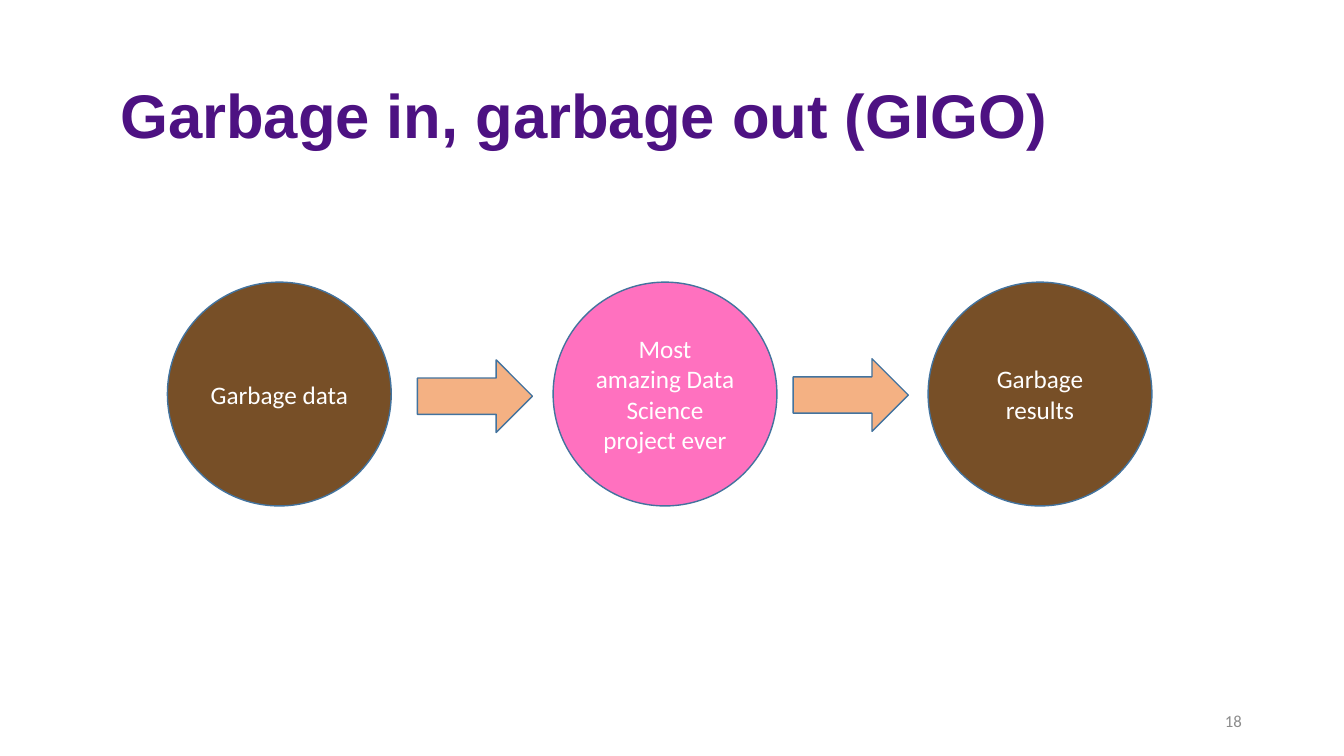
"""Build the "Garbage in, garbage out" slide."""
from typing import NamedTuple

from pptx import Presentation
from pptx.dml.color import RGBColor
from pptx.enum.shapes import MSO_SHAPE
from pptx.enum.text import MSO_ANCHOR, PP_ALIGN
from pptx.util import Cm, Pt

OVAL = MSO_SHAPE.OVAL
ARROW = MSO_SHAPE.RIGHT_ARROW
MIDDLE = MSO_ANCHOR.MIDDLE
LEFT, CENTER, RIGHT = PP_ALIGN.LEFT, PP_ALIGN.CENTER, PP_ALIGN.RIGHT

COLORS = {
    "purple": "4D1282",
    "gray": "8C8C8C",
    "brown": "774F27",
    "pink": "FF71BF",
    "peach": "F4B183",
    "edge": "43739E",
    "white": "FFFFFF",
}


class Box(NamedTuple):
    """Place of an item, in centimetres."""
    left: float
    top: float
    width: float
    height: float


class Style(NamedTuple):
    """Look of a text."""
    font: str
    size: int
    color: str
    align: PP_ALIGN
    bold: bool = False


class Node(NamedTuple):
    """Filled shape with an optional label."""
    kind: MSO_SHAPE
    box: Box
    fill: str
    text: str = ""


class Label(NamedTuple):
    """Plain text on the slide."""
    text: str
    box: Box
    style: Style
    inset: float = 0.25


DISC, TOP = 5.64, 7.11
HEAD = Style("Arial", 44, "purple", LEFT, True)
BODY = Style("Calibri", 18, "white", CENTER)
FOOT = Style("Calibri", 12, "gray", RIGHT)

LABELS = [
    Label("Garbage in, garbage out (GIGO)", Box(2.34, 1.02, 29.21, 3.68), HEAD, 0.69),
    Label("18", Box(23.93, 17.65, 7.62, 1.02), FOOT),
]
NODES = [
    Node(OVAL, Box(4.22, TOP, DISC, DISC), "brown", "Garbage data"),
    Node(OVAL, Box(13.94, TOP, DISC, DISC), "pink",
         "Most amazing Data Science project ever"),
    Node(OVAL, Box(23.39, TOP, DISC, DISC), "brown", "Garbage results"),
    Node(ARROW, Box(10.52, 9.07, 2.9, 1.83), "peach"),
    Node(ARROW, Box(19.99, 9.04, 2.9, 1.83), "peach"),
]


def color(name: str) -> RGBColor:
    """Look up a named colour."""
    return RGBColor.from_string(COLORS[name])


def write(frame, text: str, style: Style) -> None:
    """Put styled text into a frame."""
    frame.text = text
    frame.word_wrap = True
    frame.vertical_anchor = MIDDLE
    line = frame.paragraphs[0]
    line.alignment = style.align
    font = line.runs[0].font
    font.name, font.size, font.bold = style.font, Pt(style.size), style.bold
    font.color.rgb = color(style.color)


def add_label(slide, label: Label) -> None:
    """Draw a text box."""
    frame = slide.shapes.add_textbox(*map(Cm, label.box)).text_frame
    write(frame, label.text, label.style)
    frame.margin_left = Cm(label.inset)


def add_node(slide, node: Node) -> None:
    """Draw a disc or an arrow."""
    shape = slide.shapes.add_shape(node.kind, *map(Cm, node.box))
    shape.shadow.inherit = False
    shape.fill.solid()
    shape.fill.fore_color.rgb = color(node.fill)
    shape.line.color.rgb = color("edge")
    shape.line.width = Pt(1)
    if node.text:
        write(shape.text_frame, node.text, BODY)


def main() -> None:
    """Build and save the slide."""
    deck = Presentation()
    deck.slide_width, deck.slide_height = Cm(33.87), Cm(19.05)
    slide = deck.slides.add_slide(deck.slide_layouts[6])
    for label in LABELS:
        add_label(slide, label)
    for node in NODES:
        add_node(slide, node)
    deck.save("out.pptx")


if __name__ == "__main__":
    main()
